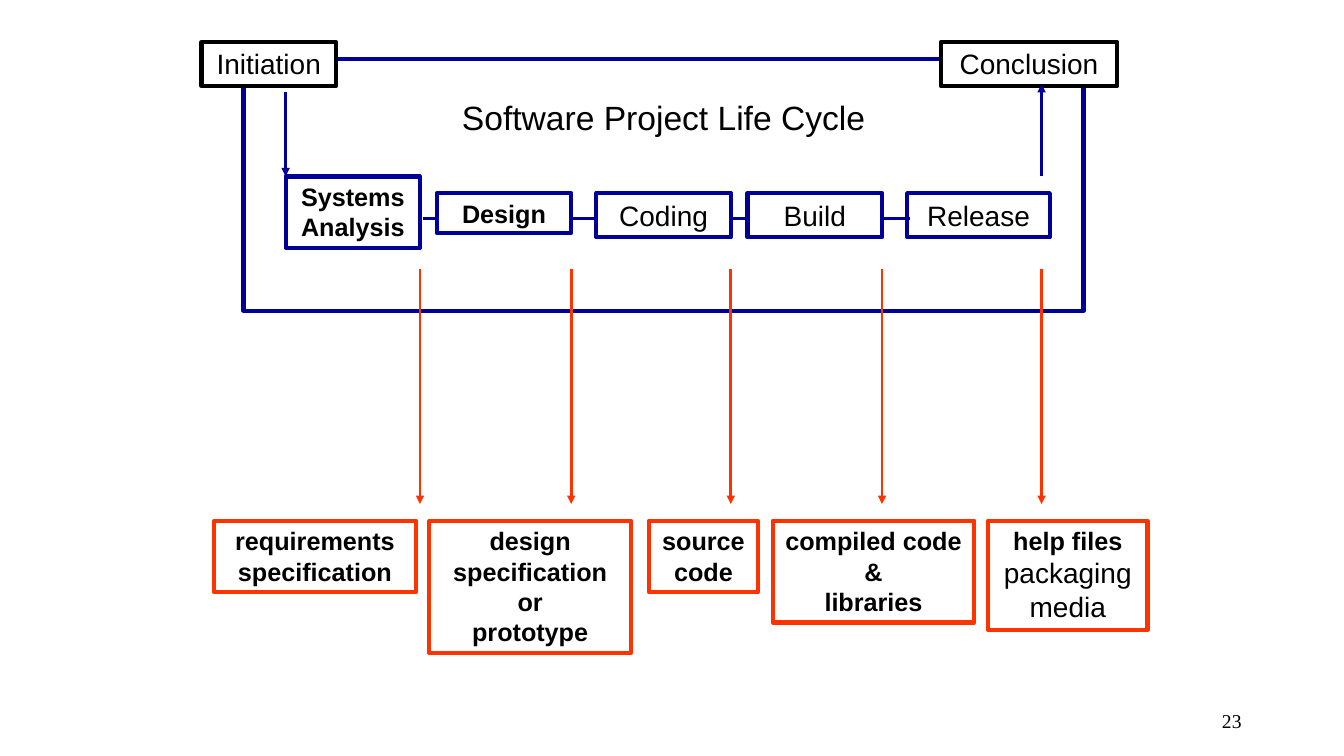
"""Build the software project life cycle slide."""
from dataclasses import dataclass

from lxml import etree
from pptx import Presentation
from pptx.dml.color import RGBColor
from pptx.enum.shapes import MSO_CONNECTOR, MSO_SHAPE
from pptx.enum.text import MSO_ANCHOR, MSO_AUTO_SIZE, PP_ALIGN
from pptx.oxml.ns import qn
from pptx.shapes.base import BaseShape
from pptx.slide import Slide
from pptx.util import Emu, Pt

RECTANGLE = MSO_SHAPE.RECTANGLE
STRAIGHT = MSO_CONNECTOR.STRAIGHT
TOP, MIDDLE = MSO_ANCHOR.TOP, MSO_ANCHOR.MIDDLE
GROW, FIXED = MSO_AUTO_SIZE.SHAPE_TO_FIT_TEXT, MSO_AUTO_SIZE.NONE
CENTER, RIGHT = PP_ALIGN.CENTER, PP_ALIGN.RIGHT

BLACK = RGBColor(0x00, 0x00, 0x00)
WHITE = RGBColor(0xFF, 0xFF, 0xFF)
NAVY = RGBColor(0x00, 0x00, 0x99)
ORANGE = RGBColor(0xFF, 0x33, 0x00)

EMU_PER_PX = 9525
MILESTONE_TOP = 40
PHASE_TOP = 184
DELIVERABLE_TOP = 496


@dataclass(frozen=True)
class Line:
    text: str
    size: int = 20
    bold: bool = False
    font: str = "Arial"


@dataclass(frozen=True)
class Box:
    left: int
    top: int
    width: int
    height: int
    color: RGBColor
    lines: tuple[Line, ...] = ()
    filled: bool = True


@dataclass(frozen=True)
class Link:
    start: tuple[int, int]
    end: tuple[int, int]
    color: RGBColor
    arrow: bool = True


def heavy(*texts: str) -> tuple[Line, ...]:
    """Return bold lines at the smaller size."""
    return tuple(Line(text, size=18, bold=True) for text in texts)


PHASES = (
    Box(272, 168, 128, 68, NAVY, heavy("Systems", "Analysis"), filled=False),
    Box(416, PHASE_TOP, 128, 38, NAVY, heavy("Design")),
    Box(568, PHASE_TOP, 128, 42, NAVY, (Line("Coding"),)),
    Box(712, PHASE_TOP, 128, 42, NAVY, (Line("Build"),)),
    Box(864, PHASE_TOP, 136, 42, NAVY, (Line("Release"),), filled=False),
)
FRAME = Box(232, 56, 800, 240, NAVY, filled=False)
MILESTONES = (
    Box(192, MILESTONE_TOP, 128, 42, BLACK, (Line("Initiation"),)),
    Box(896, MILESTONE_TOP, 168, 42, BLACK, (Line("Conclusion"),)),
)
DELIVERABLES = (
    Box(204, DELIVERABLE_TOP, 192, 68, ORANGE, heavy("requirements specification")),
    Box(409, DELIVERABLE_TOP, 192, 126, ORANGE,
        heavy("design specification", "or", "prototype")),
    Box(618, DELIVERABLE_TOP, 104, 68, ORANGE, heavy("source", "code")),
    Box(736, DELIVERABLE_TOP, 192, 97, ORANGE, heavy("compiled code &", "libraries")),
    Box(941, DELIVERABLE_TOP, 152, 104, ORANGE,
        heavy("help files") + (Line("packaging"), Line("media"))),
)
PHASE_LINK = Link((403, 208), (867, 208), NAVY, arrow=False)
FLOW_LINKS = (
    Link((272, 88), (272, 168), NAVY),
    Link((992, 168), (992, 80), NAVY),
)
OUTPUT_LINKS = tuple(
    Link((x, 256), (x, 480), ORANGE) for x in (400, 544, 696, 840, 992)
)


def px(*values: int) -> list[Emu]:
    """Turn pixel lengths into EMU."""
    return [Emu(value * EMU_PER_PX) for value in values]


def write_text(shape: BaseShape, lines: tuple[Line, ...], *,
               align: PP_ALIGN = CENTER, anchor: MSO_ANCHOR = TOP,
               fit: MSO_AUTO_SIZE = GROW) -> None:
    """Write one paragraph per line into a shape."""
    frame = shape.text_frame
    frame.word_wrap = True
    frame.auto_size = fit
    frame.vertical_anchor = anchor
    for index, line in enumerate(lines):
        para = frame.add_paragraph() if index else frame.paragraphs[0]
        para.alignment = align
        span = para.add_run()
        span.text = line.text
        span.font.name = line.font
        span.font.size = Pt(line.size)
        span.font.bold = line.bold
        span.font.color.rgb = BLACK


def draw_box(page: Slide, box: Box) -> None:
    """Draw an outlined rectangle with its text."""
    shape = page.shapes.add_shape(
        RECTANGLE, *px(box.left, box.top, box.width, box.height))
    shape.shadow.inherit = False
    if box.filled:
        shape.fill.solid()
        shape.fill.fore_color.rgb = WHITE
    else:
        shape.fill.background()
    shape.line.color.rgb = box.color
    shape.line.width = Pt(3)
    if box.lines:
        write_text(shape, box.lines)


def draw_link(page: Slide, link: Link) -> None:
    """Draw a straight line, with an arrowhead at its end if asked."""
    connector = page.shapes.add_connector(STRAIGHT, *px(*link.start, *link.end))
    connector.line.color.rgb = link.color
    connector.line.width = Pt(2)
    if link.arrow:
        outline = connector.line._get_or_add_ln()
        etree.SubElement(outline, qn("a:tailEnd"), type="triangle")
    etree.SubElement(connector._element.spPr, qn("a:effectLst"))


def main() -> None:
    """Build and save the deck."""
    deck = Presentation()
    deck.slide_width, deck.slide_height = px(1280, 720)
    page = deck.slides.add_slide(deck.slide_layouts[6])

    number = page.shapes.add_textbox(*px(904, 667, 288, 38))
    write_text(number, (Line("23", size=14, font="Times New Roman"),),
               align=RIGHT, anchor=MIDDLE, fit=FIXED)
    draw_link(page, PHASE_LINK)
    title = page.shapes.add_textbox(*px(424, 88, 416, 48))
    write_text(title, (Line("Software Project Life Cycle", size=24),))

    for box in (*PHASES, FRAME, *MILESTONES):
        draw_box(page, box)
    for link in FLOW_LINKS + OUTPUT_LINKS:
        draw_link(page, link)
    for box in DELIVERABLES:
        draw_box(page, box)

    deck.save("out.pptx")


if __name__ == "__main__":
    main()
